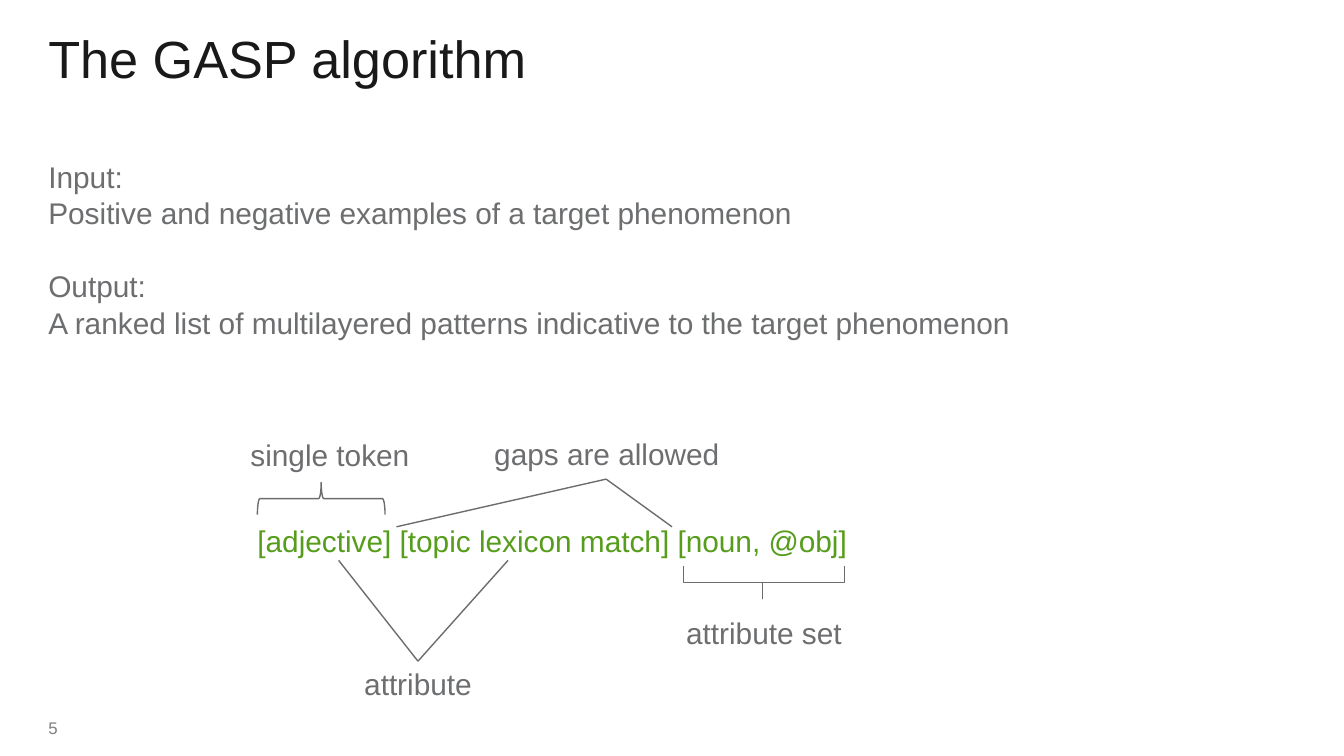
"""Build the slide that explains the input, output and patterns of the GASP algorithm."""
from typing import NamedTuple

import lxml.etree
import pptx
import pptx.dml.color
import pptx.enum.shapes
import pptx.enum.text
import pptx.oxml.ns
import pptx.util

PX = pptx.util.Inches(1) // 200
FONT = "Arial"
GREY, GREEN, DARK, LIGHT, LINE = "6D6E70", "579D1C", "191919", "7F7F7F", "6B6C6E"
ANCHOR = pptx.enum.text.MSO_ANCHOR
ALIGN = pptx.enum.text.PP_ALIGN


class Label(NamedTuple):
    text: str
    left: int
    top: int
    width: int
    color: str = GREY


class Fork(NamedTuple):
    tip: tuple[int, int]
    ends: tuple[tuple[int, int], ...]


class Brace(NamedTuple):
    left: int
    top: int
    width: int
    height: int
    rotation: int
    curve: float
    middle: float


LABELS = [
    Label("attribute", 504, 985, 236),
    Label("[adjective] [topic lexicon match] [noun, @obj]", 243, 773, 1158, GREEN),
    Label("attribute set", 961, 910, 352),
    Label("gaps are allowed", 701, 643, 404),
    Label("single token", 341, 645, 300),
]
FORKS = [
    Fork((902, 713), ((1000, 784), (590, 784))),
    Fork((622, 984), ((756, 834), (504, 834))),
]
BRACES = [
    Brace(454, 647, 48, 190, 270, 0.08, 0.5),
    Brace(1113, 747, 48, 240, 90, 0, 0.51),
]
BODY = [
    ("Input:", 0),
    ("Positive and negative examples of a target phenomenon", 0),
    ("Output:", 19.5),
    ("A ranked list of multilayered patterns indicative to the target phenomenon", 0),
]


def px(*values: int) -> list[int]:
    return [v * PX for v in values]


def rgb(color: str) -> pptx.dml.color.RGBColor:
    return pptx.dml.color.RGBColor.from_string(color)


def add_box(slide, left: int, top: int, width: int, height: int,
            inset: tuple[int, int] = (0, 0), anchor=ANCHOR.TOP):
    tf = slide.shapes.add_textbox(*px(left, top, width, height)).text_frame
    tf.word_wrap = True
    tf.vertical_anchor = anchor
    tf.margin_left = tf.margin_right = inset[0] * PX
    tf.margin_top = tf.margin_bottom = inset[1] * PX
    return tf


def add_text(tf, text: str, *, size: int = 16, color: str = GREY, align=ALIGN.LEFT,
             spacing: float = 1.0, before: float = 0) -> None:
    p = tf.add_paragraph() if tf.text else tf.paragraphs[0]
    p.alignment = align
    p.line_spacing = spacing
    p.space_before = pptx.util.Pt(before)
    r = p.add_run()
    r.text = text
    r.font.name = FONT
    r.font.size = pptx.util.Pt(size)
    r.font.color.rgb = rgb(color)


def set_line(line) -> None:
    line.color.rgb = rgb(LINE)
    line.width = pptx.util.Pt(0.75)


def add_label(slide, label: Label) -> None:
    tf = add_box(slide, label.left, label.top, label.width, 70, inset=(20, 10))
    add_text(tf, label.text, color=label.color, align=ALIGN.CENTER, spacing=0.93)


def add_fork(slide, fork: Fork) -> None:
    for end in fork.ends:
        cxn = slide.shapes.add_connector(
            pptx.enum.shapes.MSO_CONNECTOR.STRAIGHT, *px(*fork.tip, *end))
        set_line(cxn.line)
        lxml.etree.SubElement(cxn.element.spPr, pptx.oxml.ns.qn("a:effectLst"))


def add_brace(slide, brace: Brace) -> None:
    sp = slide.shapes.add_shape(
        pptx.enum.shapes.MSO_SHAPE.RIGHT_BRACE,
        *px(brace.left, brace.top, brace.width, brace.height))
    sp.rotation = brace.rotation
    sp.adjustments[0] = brace.curve
    sp.adjustments[1] = brace.middle
    sp.shadow.inherit = False
    sp.fill.background()
    set_line(sp.line)


def main() -> None:
    prs = pptx.Presentation()
    prs.slide_width, prs.slide_height = px(2000, 1125)
    slide = prs.slides.add_slide(prs.slide_layouts[6])

    title = add_box(slide, 72, 47, 1900, 86, anchor=ANCHOR.BOTTOM)
    add_text(title, "The GASP algorithm", size=28, color=DARK, spacing=0.9)
    body = add_box(slide, 72, 235, 1850, 316)
    for text, before in BODY:
        add_text(body, text, spacing=1.02, before=before)
    add_text(add_box(slide, 72, 1068, 464, 38), "5", size=9, color=LIGHT)

    for label in LABELS:
        add_label(slide, label)
    for fork in FORKS:
        add_fork(slide, fork)
    for brace in BRACES:
        add_brace(slide, brace)
    prs.save("out.pptx")


if __name__ == "__main__":
    main()
